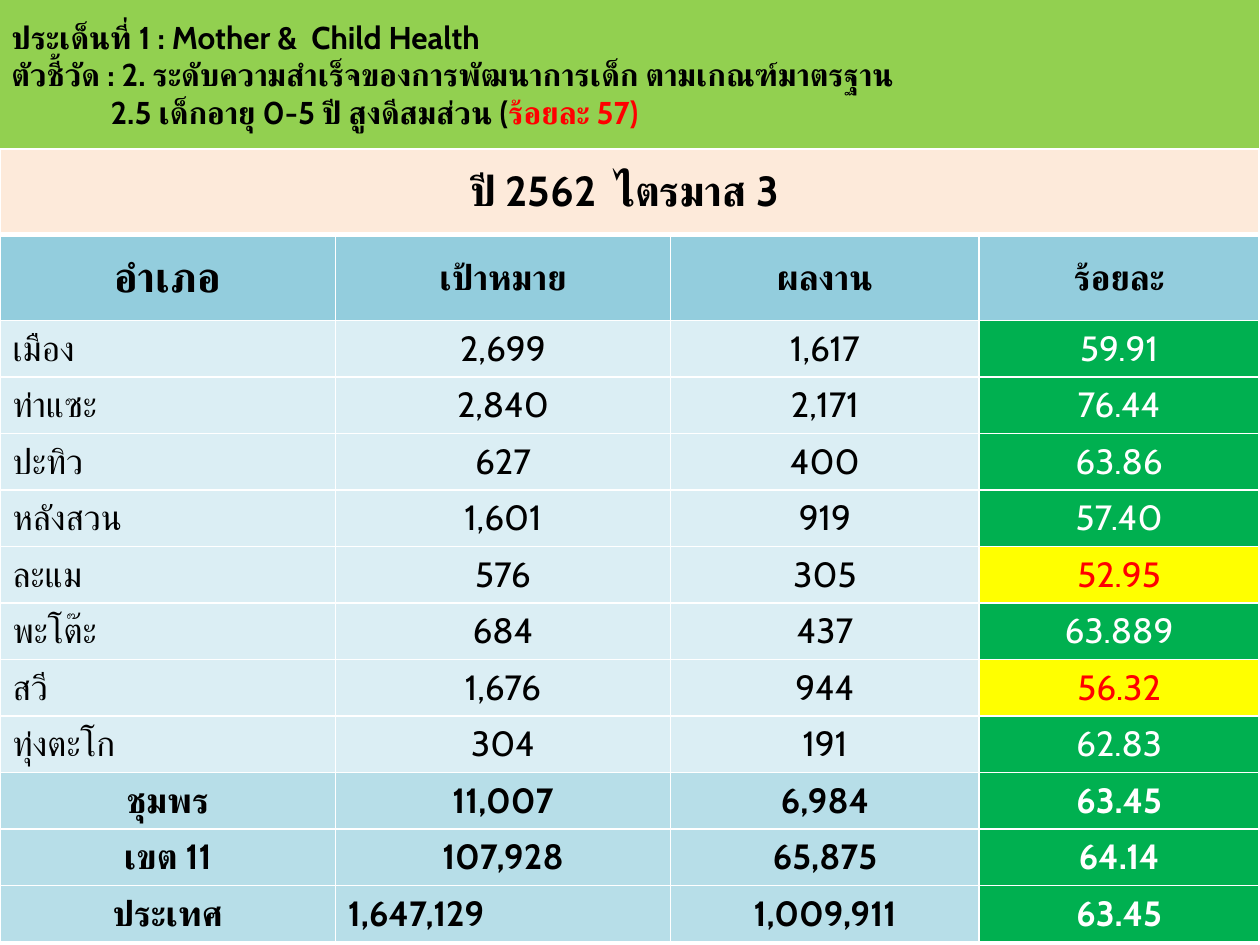
"""Build a slide reporting child growth results by district."""
from lxml import etree
from pptx import Presentation
from pptx import util as u
from pptx.dml.color import RGBColor
from pptx.enum import shapes, text
from pptx.oxml.ns import qn

FONT = "Cabin"
BLACK = RGBColor(0x00, 0x00, 0x00)
WHITE = RGBColor(0xFF, 0xFF, 0xFF)
RED = RGBColor(0xFF, 0x00, 0x00)
LIME = RGBColor(0x92, 0xD0, 0x50)
GREEN = RGBColor(0x00, 0xB0, 0x50)
YELLOW = RGBColor(0xFF, 0xFF, 0x00)
PEACH = RGBColor(0xFD, 0xEA, 0xDA)
HEADER_BLUE = RGBColor(0x93, 0xCD, 0xDD)
TOTAL_BLUE = RGBColor(0xB7, 0xDE, 0xE8)
PALE_BLUE = RGBColor(0xDB, 0xEE, 0xF4)

TARGET = 57
PERIOD = "ปี 2562  ไตรมาส 3 "
HEADINGS = ["อำเภอ", "เป้าหมาย", "ผลงาน", "ร้อยละ"]
DISTRICTS = [
    ("เมือง", "2,699", "1,617", "59.91"),
    ("ท่าแซะ", "2,840", "2,171", "76.44"),
    ("ปะทิว", "627", "400", "63.86"),
    ("หลังสวน", "1,601", "919", "57.40"),
    ("ละแม", "576", "305", "52.95"),
    ("พะโต๊ะ", "684", "437", "63.889"),
    ("สวี", "1,676", "944", "56.32"),
    ("ทุ่งตะโก", "304", "191", "62.83"),
]
TOTALS = [
    ("ชุมพร", "11,007", "6,984", "63.45"),
    ("เขต 11", "107,928", "65,875", "64.14"),
    ("ประเทศ", "1,647,129", "1,009,911", "63.45"),
]
COLUMN_WIDTHS = [6.76, 6.76, 6.22, 5.64]
TALL_ROW, ROW = 1.73, 1.14


def format_run(run, size, color=BLACK, bold=True):
    run.font.size = u.Pt(size)
    run.font.bold = bold
    run.font.color.rgb = color
    run.font.name = FONT
    etree.SubElement(run.font._element, qn("a:cs"), typeface=FONT)


def add_banner(slide):
    banner = slide.shapes.add_shape(
        shapes.MSO_SHAPE.RECTANGLE, u.Cm(-0.02), 0, u.Cm(25.4), u.Cm(3))
    banner.shadow.inherit = False
    banner.fill.solid()
    banner.fill.fore_color.rgb = LIME
    banner.line.fill.background()
    frame = banner.text_frame
    frame.vertical_anchor = text.MSO_ANCHOR.MIDDLE
    frame.text = "\n".join([
        "ประเด็นที่ 1 : Mother &  Child Health",
        "ตัวชี้วัด : 2. ระดับความสำเร็จของการพัฒนาการเด็ก ตามเกณฑ์มาตรฐาน",
        "2.5 เด็กอายุ 0-5 ปี สูงดีสมส่วน (",
    ])
    for paragraph in frame.paragraphs:
        paragraph.alignment = text.PP_ALIGN.LEFT
        format_run(paragraph.runs[0], 18)
    indicator = frame.paragraphs[-1]
    indicator._p.get_or_add_pPr().set("marL", str(u.Cm(2)))
    goal = indicator.add_run()
    goal.text = f"ร้อยละ {TARGET})"
    format_run(goal, 18, RED)


def set_borders(cell, top=1, bottom=1):
    properties = cell._tc.get_or_add_tcPr()
    for side, width in {"L": 1, "R": 1, "T": top, "B": bottom}.items():
        line = etree.SubElement(properties, qn(f"a:ln{side}"), w=str(u.Pt(width)))
        fill = etree.SubElement(line, qn("a:solidFill"))
        etree.SubElement(fill, qn("a:srgbClr"), val=str(WHITE))


def fill_cell(cell, value, fill, size=20, color=BLACK, bold=True, centred=True):
    cell.fill.solid()
    cell.fill.fore_color.rgb = fill
    cell.vertical_anchor = text.MSO_ANCHOR.MIDDLE
    cell.text = value
    paragraph = cell.text_frame.paragraphs[0]
    paragraph.alignment = text.PP_ALIGN.CENTER if centred else text.PP_ALIGN.LEFT
    format_run(paragraph.runs[0], size, color, bold)


def fill_result_row(cells, values, fill, bold):
    for column, (cell, value) in enumerate(zip(cells, values)):
        centred = bold or column > 0
        if value == "1,647,129":
            centred = False
        fill_cell(cell, value, fill, bold=bold, centred=centred)
    reached = float(values[-1]) >= TARGET
    fill_cell(cells[-1], values[-1], GREEN if reached else YELLOW,
              color=WHITE if reached else RED, bold=bold)


def add_results_table(slide):
    results = DISTRICTS + TOTALS
    heights = [TALL_ROW] * 2 + [ROW] * len(results)
    table = slide.shapes.add_table(
        len(heights), len(HEADINGS), 0, u.Cm(3),
        u.Cm(sum(COLUMN_WIDTHS)), u.Cm(sum(heights))).table
    table.first_row = table.horz_banding = False
    for column, width in zip(table.columns, COLUMN_WIDTHS):
        column.width = u.Cm(width)
    for index, (row, height) in enumerate(zip(table.rows, heights)):
        row.height = u.Cm(height)
        for cell in row.cells:
            set_borders(cell, top=3 if index == 1 else 1, bottom=3 if index == 0 else 1)

    table.cell(0, 0).merge(table.cell(0, len(HEADINGS) - 1))
    fill_cell(table.cell(0, 0), PERIOD, PEACH, size=24)
    for column, heading in enumerate(HEADINGS):
        fill_cell(table.cell(1, column), heading, HEADER_BLUE, size=20 if column else 24)
    for index, values in enumerate(results):
        total = index >= len(DISTRICTS)
        cells = list(table.rows[index + 2].cells)
        fill_result_row(cells, values, TOTAL_BLUE if total else PALE_BLUE, bold=total)


def main():
    presentation = Presentation()
    presentation.slide_width = u.Cm(25.4)
    presentation.slide_height = u.Cm(19.05)
    slide = presentation.slides.add_slide(presentation.slide_layouts[6])
    add_banner(slide)
    add_results_table(slide)
    presentation.save("out.pptx")


if __name__ == "__main__":
    main()
